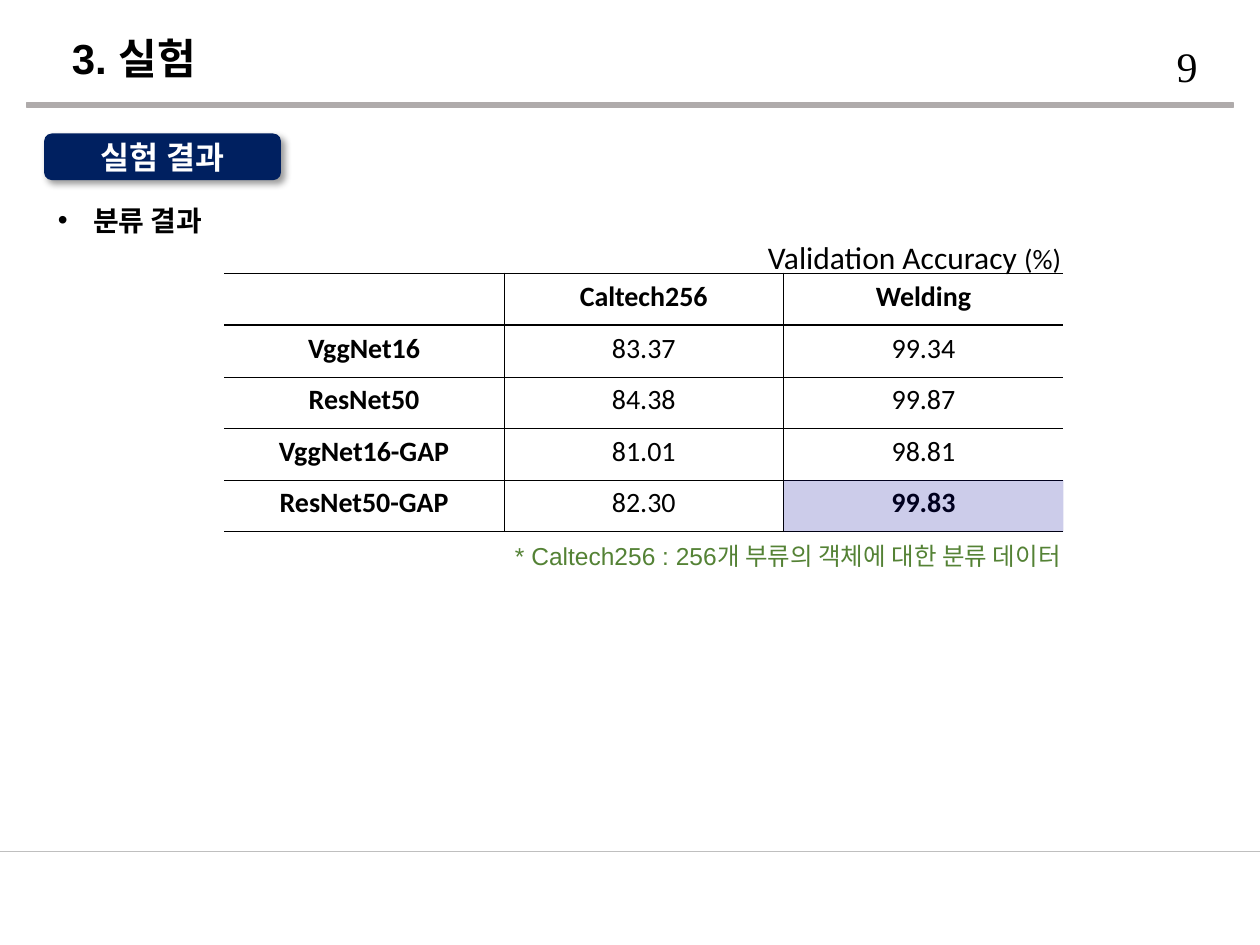
from lxml.etree import SubElement
from pptx import Presentation
from pptx.dml.color import RGBColor
from pptx.enum.shapes import MSO_CONNECTOR, MSO_SHAPE
from pptx.enum.text import MSO_ANCHOR, MSO_AUTO_SIZE, PP_ALIGN
from pptx.oxml import parse_xml
from pptx.oxml.ns import nsdecls, qn
from pptx.util import Inches, Pt

BLACK = RGBColor(0x00, 0x00, 0x00)
WHITE = RGBColor(0xFF, 0xFF, 0xFF)
NAVY = RGBColor(0x00, 0x20, 0x60)
BLUE = RGBColor(0x00, 0x00, 0x99)
GREEN = RGBColor(0x54, 0x82, 0x35)
GRAY = RGBColor(0xAF, 0xAB, 0xAB)
PALE = RGBColor(0xBF, 0xBF, 0xBF)

ROWS = [
    ("", "Caltech256", "Welding"),
    ("VggNet16", "83.37", "99.34"),
    ("ResNet50", "84.38", "99.87"),
    ("VggNet16-GAP", "81.01", "98.81"),
    ("ResNet50-GAP", "82.30", "99.83"),
]
RULES = [1, 1, 0.25, 0.5, 0.25, 1]
SIDE = 0.25
LEFT, TOP, WIDE, HIGH = 1.78, 2.17, 2.22, 0.41


class Deck:
    face = "Arial"
    ink = BLACK

    def __init__(self):
        self.file = Presentation()
        self.file.slide_width = Inches(10)
        self.file.slide_height = Inches(7.5)
        self.slide = self.file.slides.add_slide(self.file.slide_layouts[1])
        self.shapes = self.slide.shapes

    def style(self, par, size, bold=False, face=None, ink=None, align=PP_ALIGN.LEFT, lead=None):
        par.alignment = align
        par.line_spacing = lead
        font = par.font
        font.size, font.bold = Pt(size), bold
        font.name = face or self.face
        font.color.rgb = self.ink if ink is None else ink

    def place(self, shape, box):
        shape.left, shape.top, shape.width, shape.height = map(Inches, box)

    def holder(self, shape, box, text, size, lead=None):
        self.place(shape, box)
        frame = shape.text_frame
        frame.text = text
        frame.auto_size = MSO_AUTO_SIZE.NONE
        frame.vertical_anchor = MSO_ANCHOR.TOP
        par = frame.paragraphs[0]
        self.style(par, size, True, lead=lead)
        par.space_before = Pt(0)
        return par

    def title(self, box, text):
        self.holder(self.shapes.title, box, text, 24)

    def bullet(self, box, text):
        par = self.holder(self.slide.placeholders[1], box, text, 16, 1.5)
        props = par._p.get_or_add_pPr()
        props.set("marL", str(Inches(0.28)))
        props.set("indent", str(Inches(-0.28)))
        SubElement(props, qn("a:buChar")).set("char", "•")

    def text(self, box, runs, **style):
        shape = self.shapes.add_textbox(*map(Inches, box))
        frame = shape.text_frame
        frame.word_wrap = True
        par = frame.paragraphs[0]
        for words, size in runs:
            run = par.add_run()
            run.text = words
            run.font.size = Pt(size)
        self.style(par, runs[0][1], **style)

    def block(self, kind, box, fill, edge=None, clear=None):
        shape = self.shapes.add_shape(kind, *map(Inches, box))
        shape.shadow.inherit = False
        shape.fill.solid()
        shape.fill.fore_color.rgb = fill
        if edge:
            shape.line.color.rgb = edge
            shape.line.width = Pt(1)
        else:
            shape.line.fill.background()
        if clear:
            tint = shape._element.spPr.find(".//" + qn("a:srgbClr"))
            SubElement(tint, qn("a:alpha")).set("val", str(clear * 1000))
        return shape

    def badge(self, box, text):
        shape = self.block(MSO_SHAPE.ROUNDED_RECTANGLE, box, NAVY)
        shape._element.spPr.find(qn("a:effectLst")).append(parse_xml(
            f'<a:outerShdw {nsdecls("a")} blurRad="{Pt(4)}" dist="{Pt(3)}" dir="2700000" '
            'algn="tl" rotWithShape="0"><a:srgbClr val="000000">'
            '<a:alpha val="40000"/></a:srgbClr></a:outerShdw>'))
        frame = shape.text_frame
        frame.text = text
        frame.vertical_anchor = MSO_ANCHOR.MIDDLE
        self.style(frame.paragraphs[0], 18, True, ink=WHITE, align=PP_ALIGN.CENTER)

    def line(self, start, end, color, width):
        line = self.shapes.add_connector(MSO_CONNECTOR.STRAIGHT, *map(Inches, start + end))
        line.line.color.rgb = color
        line.line.width = Pt(width)
        SubElement(line._element.spPr, qn("a:effectLst"))

    def border(self, cell, widths):
        props = cell._tc.get_or_add_tcPr()
        for side, width in zip("LRTB", widths):
            edge = SubElement(props, qn("a:ln" + side))
            edge.set("w", str(Pt(width)))
            if width:
                fill = SubElement(edge, qn("a:solidFill"))
                SubElement(fill, qn("a:srgbClr")).set("val", str(self.ink))
            else:
                SubElement(edge, qn("a:noFill"))

    def table(self, rows, strong):
        high, wide = len(rows), len(rows[0])
        box = LEFT, TOP, WIDE * wide, HIGH * high
        table = self.shapes.add_table(high, wide, *map(Inches, box)).table
        table.first_row = table.horz_banding = False
        for r, row in enumerate(rows):
            for c, value in enumerate(row):
                cell = table.cell(r, c)
                cell.text = value
                bold = r == 0 or c == 0 or (r, c) == strong
                self.style(cell.text_frame.paragraphs[0], 16, bold, "Calibri",
                           align=PP_ALIGN.CENTER)
                self.border(cell, (SIDE if c else 0, SIDE if c < wide - 1 else 0,
                                   RULES[r], RULES[r + 1]))
                cell.fill.background()


def main():
    deck = Deck()
    deck.line((0, 6.76), (10, 6.76), PALE, 0.5)
    deck.block(MSO_SHAPE.RECTANGLE, (0.21, 0.82, 9.58, 0.03), GRAY, GRAY)
    deck.title((0.47, 0.21, 5.45, 0.5), "3. 실험")
    deck.text((9.24, 0.27, 0.61, 0.5), [("9", 24)], face="Times New Roman")
    deck.badge((0.35, 1.06, 1.88, 0.37), "실험 결과")
    deck.bullet((0.36, 1.43, 9.64, 0.45), "분류 결과")
    deck.table(ROWS, (4, 2))
    deck.text((5.92, 1.69, 2.6, 0.56), [("Validation Accuracy ", 18), ("(%)", 16)],
              face="Calibri", align=PP_ALIGN.RIGHT, lead=1.5)
    deck.block(MSO_SHAPE.RECTANGLE, (LEFT + 2 * WIDE, TOP + 4 * HIGH, WIDE, HIGH), BLUE, clear=20)
    deck.text((2.16, 4.13, 6.36, 0.41), [("* Caltech256 : 256개 부류의 객체에 대한 분류 데이터", 14)],
              ink=GREEN, align=PP_ALIGN.RIGHT, lead=1.5)
    deck.file.save("out.pptx")


if __name__ == "__main__":
    main()
